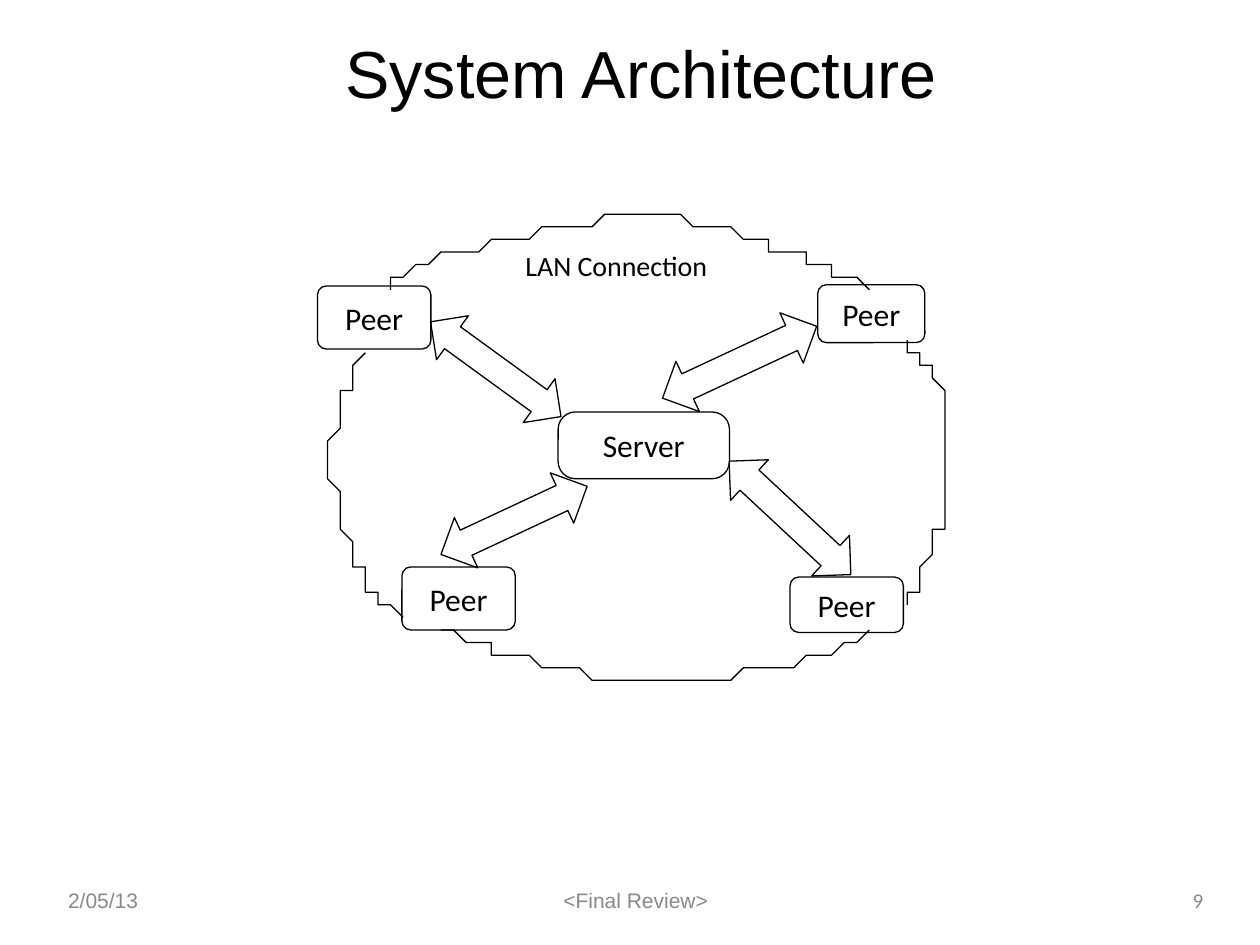
"""Build the System Architecture slide: a server and four peers on a LAN."""
from pptx import Presentation, util as u
from pptx.dml.color import RGBColor
from pptx.enum import shapes as sh, text as tx

HUES = {"ink": "000000", "gray": "898989"}
deck = Presentation()
deck.slide_width, deck.slide_height = u.Inches(10), u.Inches(7.5)
COL, ROW = deck.slide_width / 100, deck.slide_height / 75
slide = deck.slides.add_slide(deck.slide_layouts[6])
draw = slide.shapes


def place(left, top, width, height):
    return [round(n) for n in (left * COL, top * ROW, width * COL, height * ROW)]


def write(shape, words, size, font="Calibri", hue="ink", align="CENTER", anchor="MIDDLE", inset=0):
    frame = shape.text_frame
    frame.word_wrap = True
    frame.margin_left = round(inset * COL)
    frame.margin_right = frame.margin_top = frame.margin_bottom = 0
    frame.vertical_anchor = tx.MSO_ANCHOR[anchor]
    para = frame.paragraphs[0]
    para.text = words
    para.alignment = tx.PP_ALIGN[align]
    para.font.name, para.font.size = font, u.Pt(size)
    para.font.color.rgb = RGBColor.from_string(HUES[hue])


lined = []
write(draw.add_textbox(*place(5.4, 0, 90, 11.4)), "System Architecture", 38, "Arial", inset=1)

nodes = [
    ("Server", 44.3, 32.7, 13.6, 5.3, 0.26),
    ("Peer", 62.7, 45.8, 9, 4.4, 0.16),
    ("Peer", 31.9, 45, 9, 5, 0.14),
    ("Peer", 25.2, 22.7, 9, 5, 0.14),
    ("Peer", 64.9, 22.6, 8.5, 4.6, 0.15),
]
for name, left, top, width, height, curve in nodes:
    node = draw.add_shape(sh.MSO_SHAPE.ROUNDED_RECTANGLE, *place(left, top, width, height))
    node.adjustments[0] = curve
    write(node, name, 18)
    lined.append(node)

write(draw.add_textbox(*place(41.7, 19.7, 16.2, 2.6)), "LAN Connection", 16, align="LEFT", anchor="TOP")

STEPS = 24
arcs = [
    [(30.6, 22.6), (34.8, 19.5), (46.5, 17.2), (52.2, 17.2), (57.9, 17.2), (65.6, 21.7), (68.9, 22.6)],
    [(71.8, 27.2), (75.4, 29.8), (75.4, 34), (75.4, 37.5), (75.4, 41), (72.9, 46.2), (71.8, 48.2)],
    [(69.3, 50.1), (65.1, 53.2), (56.8, 54), (51.1, 54), (45.5, 54), (38.4, 51), (35.1, 50.1)],
    [(31.7, 48.6), (28.2, 46.5), (26.9, 41.3), (26.4, 37.7), (25.9, 34.2), (28.1, 29.8), (28.7, 27.6)],
]
for arc in arcs:
    dots = []
    for start in (0, 3):
        for step in range(1, STEPS + 1):
            t = step / STEPS
            parts = ((1 - t) ** 3, 3 * t * (1 - t) ** 2, 3 * t * t * (1 - t), t ** 3)
            bend = arc[start:start + 4]
            dots.append(tuple(sum(p * dot[axis] for p, dot in zip(parts, bend)) for axis in (0, 1)))
    pen = draw.build_freeform(*arc[0], scale=(COL, ROW))
    pen.add_line_segments(dots, close=False)
    lined.append(pen.convert_to_shape())

arrows = [
    (37.2, 22.9, 4.3, 12.8, 306),
    (60.5, 34.5, 4.4, 13.2, 313),
    (56.5, 22, 4.4, 13.5, 65),
    (38.6, 34.9, 4.4, 12.8, 65),
]
for *box, turn in arrows:
    arrow = draw.add_shape(sh.MSO_SHAPE.UP_DOWN_ARROW, *place(*box))
    arrow.adjustments[0] = arrow.adjustments[1] = 0.5
    arrow.rotation = turn
    lined.append(arrow)

for shape in lined:
    shape.shadow.inherit = False
    shape.fill.background()
    shape.line.color.rgb = RGBColor.from_string(HUES["ink"])
    shape.line.width = u.Pt(0.75)

notes = [
    ("2/05/13", 5, 23.8, "Arial", "LEFT"),
    ("<Final Review>", 34.2, 32.1, "Arial", "CENTER"),
    ("9", 71.7, 23.8, "Calibri", "RIGHT"),
]
for words, left, width, font, align in notes:
    write(draw.add_textbox(*place(left, 70.5, width, 1.9)), words, 12, font, "gray", align, inset=0.4)

deck.save("out.pptx")
